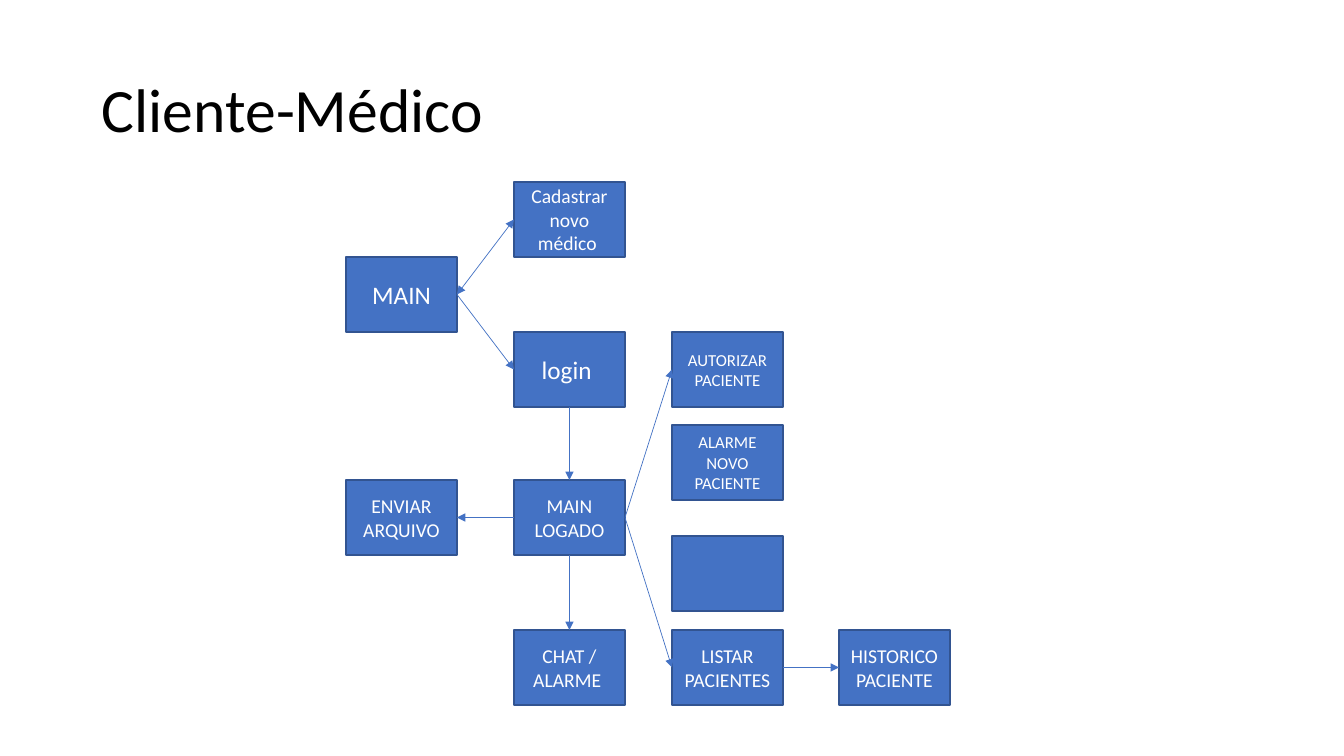
from dataclasses import dataclass

from lxml import etree
from pptx import Presentation
from pptx.dml.color import RGBColor
from pptx.enum.shapes import MSO_CONNECTOR, MSO_SHAPE
from pptx.enum.text import MSO_ANCHOR, PP_ALIGN
from pptx.oxml.ns import qn
from pptx.util import Emu, Pt

EMU_PER_PX = 12192000 / 1344
TOP, LEFT, BOTTOM, RIGHT = range(4)


def px(value):
    return Emu(round(value * EMU_PER_PX))


@dataclass(frozen=True)
class Theme:
    font: str = "Calibri"
    ink: str = "000000"
    paper: str = "FFFFFF"
    box: str = "4472C4"
    border: str = "325491"
    title: int = 44
    large: int = 18
    medium: int = 14
    small: int = 12
    border_width: float = 1
    arrow_width: float = 0.5


class FlowSlide:
    box_width, box_height = 111, 75

    def __init__(self, slide, theme):
        self.slide = slide
        self.theme = theme

    def label(self, frame, text, size, color, align):
        frame.word_wrap = True
        frame.vertical_anchor = MSO_ANCHOR.MIDDLE
        paragraph = frame.paragraphs[0]
        paragraph.alignment = align
        run = paragraph.add_run()
        run.text = text
        run.font.name = self.theme.font
        run.font.size = Pt(size)
        run.font.color.rgb = RGBColor.from_string(color)
        return paragraph

    def title(self, text, left, top, width, height):
        area = self.slide.shapes.add_textbox(px(left), px(top), px(width), px(height))
        paragraph = self.label(area.text_frame, text, self.theme.title, self.theme.ink, PP_ALIGN.LEFT)
        paragraph.line_spacing = 0.9

    def box(self, left, top, text, size):
        shape = self.slide.shapes.add_shape(
            MSO_SHAPE.FLOWCHART_PROCESS, px(left), px(top), px(self.box_width), px(self.box_height))
        shape.shadow.inherit = False
        shape.fill.solid()
        shape.fill.fore_color.rgb = RGBColor.from_string(self.theme.box)
        shape.line.color.rgb = RGBColor.from_string(self.theme.border)
        shape.line.width = Pt(self.theme.border_width)
        if text:
            self.label(shape.text_frame, text, size, self.theme.paper, PP_ALIGN.CENTER)
        return shape

    def arrow(self, source, source_side, target, target_side, both_ways=False):
        connector = self.slide.shapes.add_connector(MSO_CONNECTOR.STRAIGHT, 0, 0, 0, 0)
        connector.begin_connect(source, source_side)
        connector.end_connect(target, target_side)
        connector.line.color.rgb = RGBColor.from_string(self.theme.box)
        connector.line.width = Pt(self.theme.arrow_width)
        properties = connector._element.spPr
        line = properties.find(qn("a:ln"))
        for end in ("a:headEnd", "a:tailEnd") if both_ways else ("a:tailEnd",):
            etree.SubElement(line, qn(end), type="triangle")
        etree.SubElement(properties, qn("a:effectLst"))


theme = Theme()
presentation = Presentation()
presentation.slide_width = px(1344)
presentation.slide_height = px(756)
flow = FlowSlide(presentation.slides.add_slide(presentation.slide_layouts[6]), theme)

flow.title("Cliente-Médico", 92, 40, 1159, 146)

FIRST, SECOND, THIRD, FOURTH = 346, 514, 672, 839
nodes = {
    "main": (FIRST, 257, "MAIN", theme.large),
    "register": (SECOND, 182, "Cadastrar novo médico ", theme.medium),
    "login": (SECOND, 332, "login ", theme.large),
    "logged_in": (SECOND, 480, "MAIN LOGADO", theme.medium),
    "authorize": (THIRD, 332, "AUTORIZAR PACIENTE", theme.small),
    "new_patient": (THIRD, 425, "ALARME NOVO PACIENTE", theme.small),
    "chat": (SECOND, 630, "CHAT / ALARME ", theme.medium),
    "patients": (THIRD, 630, "LISTAR PACIENTES", theme.medium),
    "send_file": (FIRST, 480, "ENVIAR ARQUIVO", theme.medium),
    "history": (FOURTH, 630, "HISTORICO PACIENTE", theme.medium),
    "empty": (THIRD, 536, "", theme.medium),
}
boxes = {name: flow.box(*node) for name, node in nodes.items()}

flow.arrow(boxes["main"], RIGHT, boxes["register"], LEFT, both_ways=True)
for source, source_side, target, target_side in (
    ("main", RIGHT, "login", LEFT),
    ("login", BOTTOM, "logged_in", TOP),
    ("logged_in", RIGHT, "authorize", LEFT),
    ("logged_in", RIGHT, "patients", LEFT),
    ("logged_in", BOTTOM, "chat", TOP),
    ("logged_in", LEFT, "send_file", RIGHT),
    ("patients", RIGHT, "history", LEFT),
):
    flow.arrow(boxes[source], source_side, boxes[target], target_side)

presentation.save("out.pptx")
